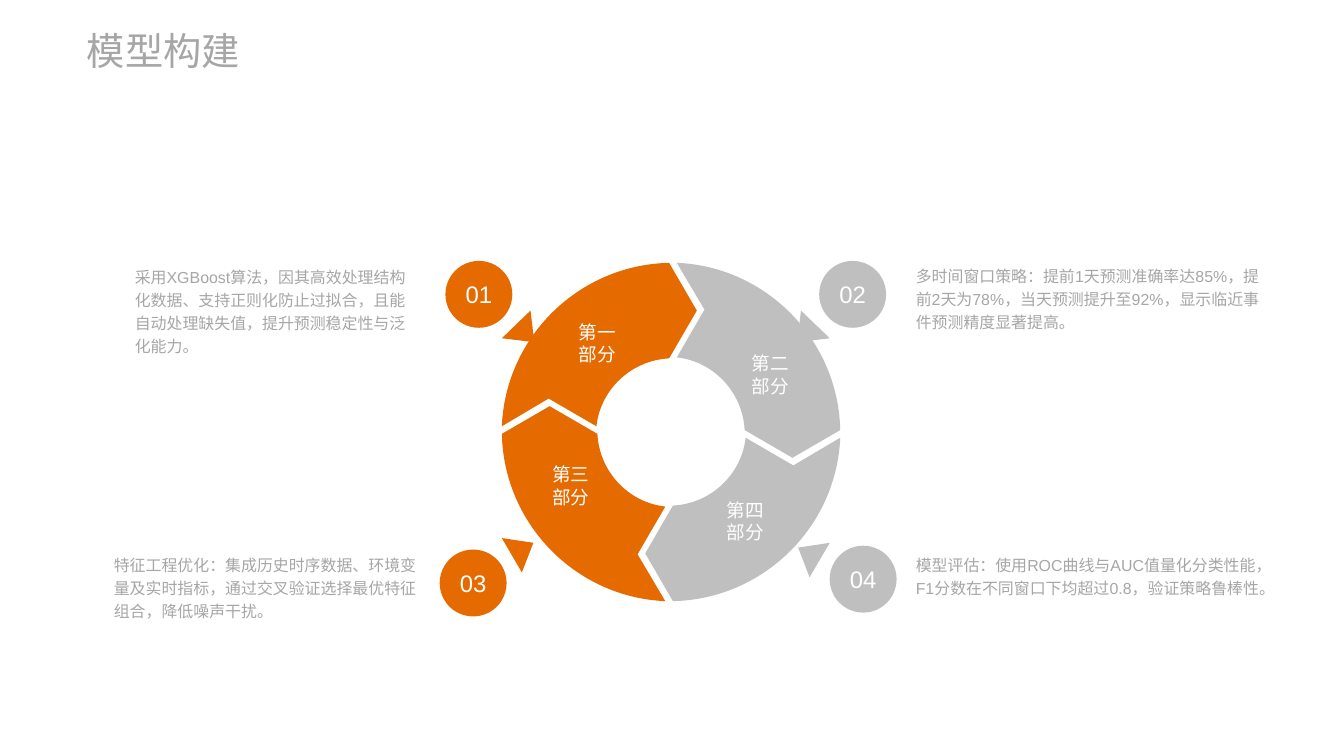
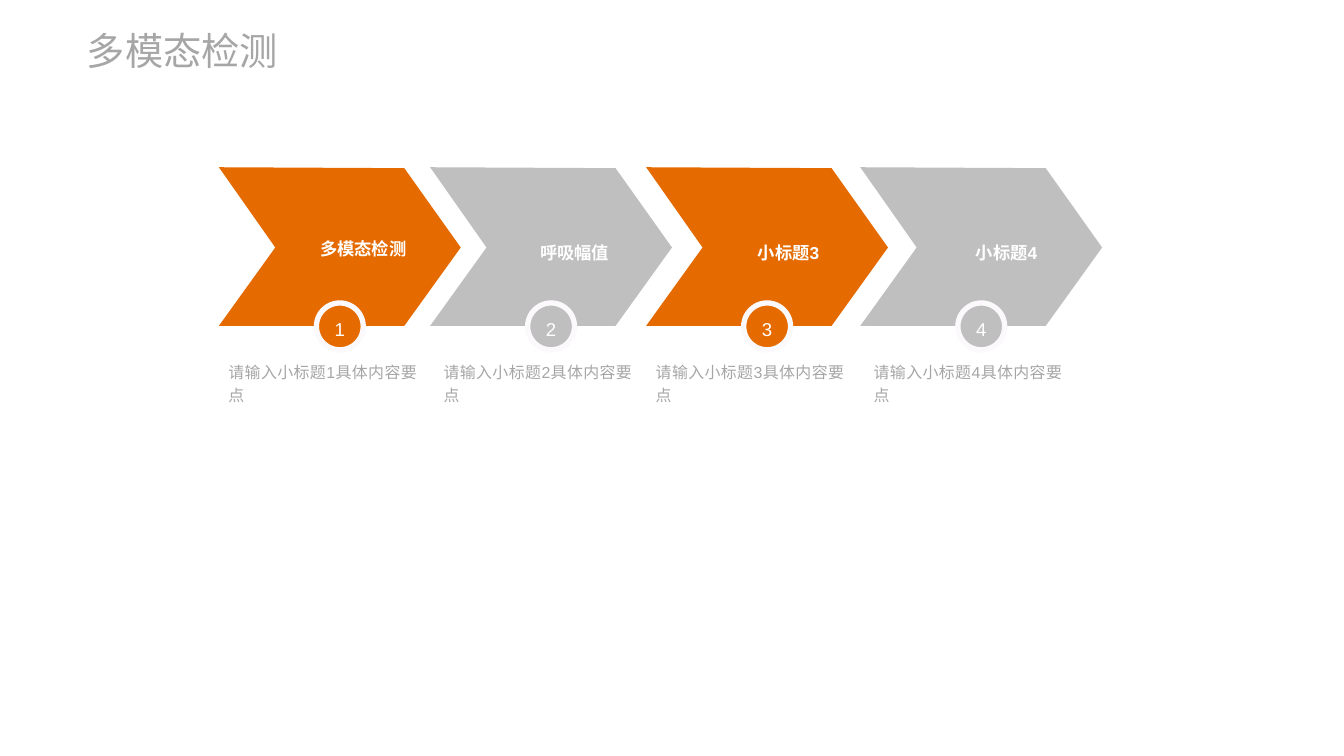
from lxml import etree
from pptx import Presentation
from pptx.dml.color import RGBColor
from pptx.enum.lang import MSO_LANGUAGE_ID
from pptx.enum.shapes import MSO_SHAPE
from pptx.enum.text import MSO_ANCHOR, MSO_AUTO_SIZE, PP_ALIGN
from pptx.oxml.ns import qn
from pptx.util import Inches, Pt

ORANGE = RGBColor(0xE5, 0x6B, 0x00)
SILVER = RGBColor(0xBF, 0xBF, 0xBF)
GRAY = RGBColor(0xA6, 0xA6, 0xA6)
WHITE = RGBColor(0xFF, 0xFF, 0xFF)
RIM = RGBColor(0xFB, 0xF9, 0xFC)
FONT = "Arial"
TITLE_ONLY = 5


def write_text(frame, text, size=12, color=GRAY, bold=False, align=PP_ALIGN.LEFT,
               anchor=MSO_ANCHOR.TOP, spacing=1.0):
    frame.auto_size = MSO_AUTO_SIZE.NONE
    frame.word_wrap = True
    frame.vertical_anchor = anchor
    frame.margin_left = frame.margin_right = 0
    frame.margin_top = frame.margin_bottom = 0
    para = frame.paragraphs[0]
    para.alignment = align
    para.line_spacing = spacing
    span = para.add_run()
    span.text = text
    font = span.font
    font.name, font.size, font.bold = FONT, Pt(size), bold
    font.color.rgb = color
    font.language_id = MSO_LANGUAGE_ID.SIMPLIFIED_CHINESE


def bend(shape, curve_starts):
    """Turn the three line segments from each given index into one Bezier curve."""
    lines = list(shape.element.iter(qn("a:lnTo")))
    for start in curve_starts:
        curve = etree.Element(qn("a:cubicBezTo"))
        lines[start].addprevious(curve)
        for line in lines[start:start + 3]:
            curve.append(line[0])
            line.getparent().remove(line)


class Deck:
    def __init__(self):
        self.file = Presentation()
        self.file.slide_width = Inches(14.06)
        self.file.slide_height = Inches(7.91)
        self.page = None

    def add_page(self, title):
        self.page = self.file.slides.add_slide(self.file.slide_layouts[TITLE_ONLY])
        box = self.page.shapes.title
        box.left, box.top = Inches(0.91), Inches(0.26)
        box.width, box.height = Inches(12.65), Inches(0.54)
        write_text(box.text_frame, title, size=28.8, anchor=MSO_ANCHOR.MIDDLE)

    def text(self, left, top, width, height, text, **style):
        box = self.page.shapes.add_textbox(
            Inches(left), Inches(top), Inches(width), Inches(height))
        write_text(box.text_frame, text, **style)

    def label(self, center_x, center_y, width, height, text, **style):
        """White text centred on a point."""
        self.text(center_x - width / 2, center_y - height / 2, width, height, text,
                  color=WHITE, align=PP_ALIGN.CENTER, anchor=MSO_ANCHOR.MIDDLE, **style)

    def outline(self, points, color, curve_starts=()):
        corners = [(Inches(x), Inches(y)) for x, y in points]
        builder = self.page.shapes.build_freeform(*corners[0])
        builder.add_line_segments(corners[1:], close=True)
        shape = builder.convert_to_shape()
        bend(shape, curve_starts)
        self.paint(shape, color)

    def disc(self, left, top, diameter, color, text, rim=None, **style):
        disc = self.page.shapes.add_shape(
            MSO_SHAPE.OVAL, Inches(left), Inches(top), Inches(diameter), Inches(diameter))
        self.paint(disc, color, rim)
        write_text(disc.text_frame, text, color=WHITE, align=PP_ALIGN.CENTER,
                   anchor=MSO_ANCHOR.MIDDLE, **style)

    @staticmethod
    def paint(shape, color, rim=None):
        shape.shadow.inherit = False
        shape.fill.solid()
        shape.fill.fore_color.rgb = color
        if rim is None:
            shape.line.fill.background()
        else:
            shape.line.color.rgb = rim
            shape.line.width = Pt(4)


def add_model_page(deck):
    deck.add_page("模型构建")
    # number, colour, disc corner, pointer corners, text place and width, text
    notes = [
        ("01", ORANGE, (4.66, 2.73), [(5.55, 3.25), (5.25, 3.54), (5.59, 3.58)],
         (1.41, 2.76, 2.99),
         "采用XGBoost算法，因其高效处理结构化数据、支持正则化防止过拟合，"
         "且能自动处理缺失值，提升预测稳定性与泛化能力。"),
        ("02", SILVER, (8.57, 2.73), [(8.38, 3.25), (8.68, 3.54), (8.34, 3.58)],
         (9.58, 2.75, 3.75),
         "多时间窗口策略：提前1天预测准确率达85%，提前2天为78%，"
         "当天预测提升至92%，显示临近事件预测精度显著提高。"),
        ("03", ORANGE, (4.6, 5.75), [(5.25, 5.63), (5.46, 5.99), (5.58, 5.68)],
         (1.19, 5.77, 3.21),
         "特征工程优化：集成历史时序数据、环境变量及实时指标，"
         "通过交叉验证选择最优特征组合，降低噪声干扰。"),
        ("04", SILVER, (8.68, 5.71), [(8.47, 6.04), (8.68, 5.68), (8.35, 5.73)],
         (9.58, 5.77, 3.75),
         "模型评估：使用ROC曲线与AUC值量化分类性能，"
         "F1分数在不同窗口下均超过0.8，验证策略鲁棒性。"),
    ]
    for number, color, corner, pointer, (left, top, width), text in notes:
        deck.outline(pointer, color)
        deck.disc(*corner, 0.7, color, number, size=18)
        deck.text(left, top, width, 1.69, text, spacing=1.2)

    center_x, center_y = 7.02, 4.52
    segment = [(0.27, -1.27), (-0.02, -1.77),
               (-0.96, -1.75), (-1.73, -1), (-1.77, -0.06),  # outer curve
               (-1.28, -0.35), (-0.78, -0.06),
               (-0.74, -0.44), (-0.42, -0.75), (-0.02, -0.77)]  # inner curve
    for color in (ORANGE, SILVER, SILVER, ORANGE):
        deck.outline([(center_x + x, center_y + y) for x, y in segment], color,
                     curve_starts=(1, 6))
        segment = [(-y, x) for x, y in segment]  # a quarter turn clockwise

    parts = [(6.25, 3.59, "第一部分"), (8.06, 3.92, "第二部分"),
             (5.97, 5.08, "第三部分"), (7.8, 5.45, "第四部分")]
    for x, y, text in parts:
        deck.label(x, y, 0.55, 0.74, text, size=14)


def add_detection_page(deck):
    deck.add_page("多模态检测")
    top = 1.75
    chevron = [(0, 0), (0.59, 0.84), (0, 1.66), (1.94, 1.66), (2.53, 0.84), (1.94, 0.01)]
    # chevron left, heading centre, heading, text left
    steps = [
        (2.29, (3.8, 2.59), "多模态检测", 2.39),
        (4.5, (6.01, 2.63), "呼吸幅值", 4.64),
        (6.76, (8.25, 2.63), "小标题3", 6.86),
        (9, (10.53, 2.63), "小标题4", 9.14),
    ]
    for number, (left, center, heading, text_left) in enumerate(steps, 1):
        color = ORANGE if number % 2 else SILVER
        deck.outline([(left + x, top + y) for x, y in chevron], color)
        deck.label(*center, 1.67, 0.26, heading, size=13, bold=True, spacing=1.15)
        deck.disc(left + 1.02, 3.17, 0.49, color, str(number), rim=RIM,
                  size=14, spacing=1.2)
        deck.text(text_left, 3.75, 1.97, 2.47, f"请输入小标题{number}具体内容要点",
                  align=PP_ALIGN.JUSTIFY, spacing=1.2)


def main():
    deck = Deck()
    add_model_page(deck)
    add_detection_page(deck)
    deck.file.save("out.pptx")


if __name__ == "__main__":
    main()
